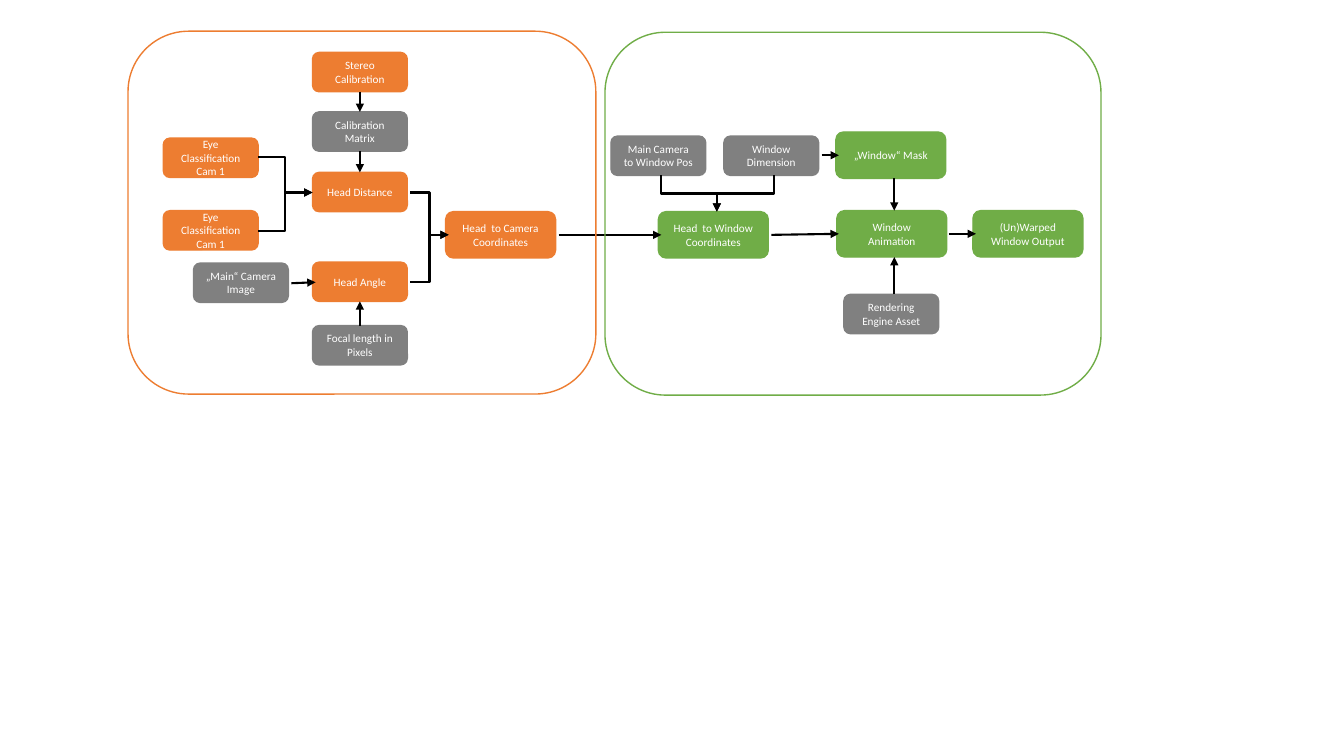
from lxml.etree import SubElement
from pptx import Presentation
from pptx.dml.color import RGBColor
from pptx.enum.shapes import MSO_CONNECTOR as LINK, MSO_SHAPE
from pptx.enum.text import MSO_ANCHOR, PP_ALIGN
from pptx.oxml.ns import qn
from pptx.util import Inches, Pt

ORANGE = RGBColor(0xED, 0x7D, 0x31)
GREEN = RGBColor(0x70, 0xAD, 0x47)
GRAY = RGBColor(0x80, 0x80, 0x80)
BLACK = RGBColor(0x00, 0x00, 0x00)
WHITE = RGBColor(0xFF, 0xFF, 0xFF)

SMALL = (0.94, 0.39)
LARGE = (1.09, 0.46)

prs = Presentation()
prs.slide_width = Inches(13.33)
prs.slide_height = Inches(7.5)
slide = prs.slides.add_slide(prs.slide_layouts[6])


def add_rounded(left, top, size, color):
    rounded = slide.shapes.add_shape(
        MSO_SHAPE.ROUNDED_RECTANGLE, Inches(left), Inches(top), *map(Inches, size))
    rounded.shadow.inherit = False
    rounded.line.color.rgb = color
    rounded.line.width = Pt(1)
    return rounded


def add_arrow(kind, x1, y1, x2, y2):
    arrow = slide.shapes.add_connector(kind, Inches(x1), Inches(y1), Inches(x2), Inches(y2))
    arrow.line.color.rgb = BLACK
    arrow.line.width = Pt(1.5)
    properties = arrow._element.spPr
    SubElement(properties.find(qn("a:ln")), qn("a:tailEnd"), type="triangle")
    SubElement(properties, qn("a:effectLst"))
    return arrow


steps = [
    ("Head  to Window Coordinates", 6.53, 2.1, LARGE, GREEN),
    ("Head  to Camera Coordinates", 4.42, 2.1, LARGE, ORANGE),
    ("Head Distance", 3.1, 1.71, SMALL, ORANGE),
    ("Head Angle", 3.1, 2.6, SMALL, ORANGE),
    ("Focal length in Pixels", 3.1, 3.23, SMALL, GRAY),
    ("„Main“ Camera Image", 1.92, 2.61, SMALL, GRAY),
    ("Eye Classification Cam 1", 1.62, 2.09, SMALL, ORANGE),
    ("Eye Classification Cam 1", 1.62, 1.37, SMALL, ORANGE),
    ("Calibration Matrix", 3.1, 1.11, SMALL, GRAY),
    ("Stereo Calibration", 3.1, 0.52, SMALL, ORANGE),
    ("„Window“ Mask", 8.29, 1.31, LARGE, GREEN),
    ("Main Camera to Window Pos", 6.06, 1.35, SMALL, GRAY),
    ("Window Dimension", 7.18, 1.35, SMALL, GRAY),
    ("Window Animation", 8.3, 2.09, LARGE, GREEN),
    ("Rendering Engine Asset", 8.37, 2.92, SMALL, GRAY),
    ("(Un)Warped Window Output", 9.65, 2.09, LARGE, GREEN),
]
boxes = {}
for label, left, top, size, color in steps:
    box = add_rounded(left, top, size, color)
    box.fill.solid()
    box.fill.fore_color.rgb = color
    frame = box.text_frame
    frame.word_wrap = True
    frame.vertical_anchor = MSO_ANCHOR.MIDDLE
    paragraph = frame.paragraphs[0]
    paragraph.alignment = PP_ALIGN.CENTER
    run = paragraph.add_run()
    run.text = label
    run.font.name = "Calibri"
    run.font.size = Pt(8)
    run.font.color.rgb = WHITE
    boxes[label] = box

for source, source_side, target, target_side in [
    ("Stereo Calibration", 2, "Calibration Matrix", 0),
    ("Calibration Matrix", 2, "Head Distance", 0),
    ("Focal length in Pixels", 0, "Head Angle", 2),
]:
    joined = add_arrow(LINK.STRAIGHT, 0, 0, 1, 1)
    joined.begin_connect(boxes[source], source_side)
    joined.end_connect(boxes[target], target_side)

for ends in [
    (2.89, 2.81, 3.13, 2.8),
    (5.54, 2.33, 6.56, 2.33),
    (7.65, 2.33, 8.32, 2.32),
    (8.15, 1.54, 8.32, 1.54),
    (8.87, 1.77, 8.87, 2.09),
    (8.87, 2.92, 8.87, 2.55),
    (9.41, 2.32, 9.68, 2.32),
]:
    add_arrow(LINK.STRAIGHT, *ends)

for ends in [
    (4.07, 2.8, 4.45, 2.33),
    (4.07, 1.91, 4.45, 2.33),
    (2.56, 1.56, 3.1, 1.91),
    (2.56, 2.29, 3.1, 1.91),
]:
    add_arrow(LINK.ELBOW, *ends)

merge_x, merge_top, merge_bottom = 7.11, 1.74, 2.1
for start_x, turn in [(6.56, 270), (7.68, 90)]:
    center_x = (start_x + merge_x) / 2
    center_y = (merge_top + merge_bottom) / 2
    half_run = (merge_bottom - merge_top) / 2 * (1 if turn == 270 else -1)
    half_rise = abs(merge_x - start_x) / 2
    elbow = add_arrow(LINK.ELBOW, center_x + half_run, center_y - half_rise,
                      center_x - half_run, center_y + half_rise)
    elbow._element.spPr.find(qn("a:xfrm")).set("rot", str(turn * 60000))

for left, top, size, color in [
    (1.27, 0.31, (4.64, 3.6), ORANGE),
    (6, 0.32, (4.92, 3.6), GREEN),
]:
    add_rounded(left, top, size, color).fill.background()

prs.save("out.pptx")
